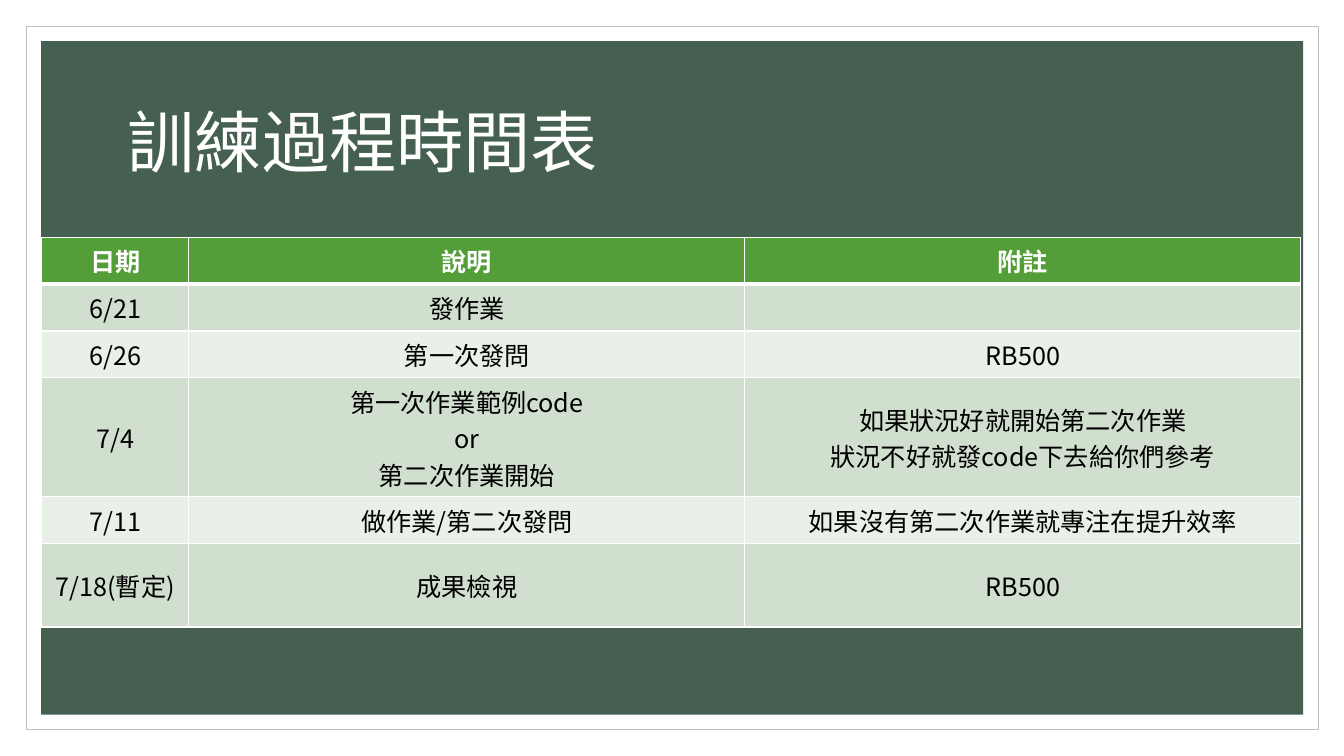
from lxml.etree import SubElement
from pptx import Presentation
from pptx.dml.color import RGBColor
from pptx.enum.shapes import MSO_SHAPE as Shape
from pptx.enum.text import MSO_ANCHOR as Anchor, PP_ALIGN as Align
from pptx.oxml.ns import qn
from pptx.util import Cm, Pt

FONT = "Noto Sans CJK SC"


def paint(color_format, hex_color):
    color_format.rgb = RGBColor.from_string(hex_color)


def add_run(paragraph, text, size, color, bold=False):
    run = paragraph.add_run()
    run.text = text
    run.font.size, run.font.bold, run.font.name = Pt(size), bold, FONT
    paint(run.font.color, color)
    SubElement(run.font._element, qn("a:ea"), typeface=FONT)


deck = Presentation()
deck.slide_width, deck.slide_height = Cm(33.87), Cm(19.05)
slide = deck.slides.add_slide(deck.slide_layouts[6])

# Outer frame and green panel
for margin, width, height, fill, outline in [
    (0.66, 32.56, 17.73, "FFFFFF", "BFBFBF"),
    (1.04, 31.8, 16.97, "455F51", None),
]:
    panel = slide.shapes.add_shape(
        Shape.RECTANGLE, Cm(margin), Cm(margin), Cm(width), Cm(height))
    panel.shadow.inherit = False
    panel.fill.solid()
    paint(panel.fill.fore_color, fill)
    if outline:
        paint(panel.line.color, outline)
        panel.line.width = Pt(0.5)
    else:
        panel.line.fill.background()

# Title
title = slide.shapes.add_textbox(Cm(2.97), Cm(1.78), Cm(27.94), Cm(3.81)).text_frame
title.word_wrap = True
title.vertical_anchor = Anchor.MIDDLE
title.paragraphs[0].line_spacing = 0.9
add_run(title.paragraphs[0], "訓練過程時間表", 48, "FFFFFF")

# Schedule table: row height, then date, description and note
schedule = [
    (1.18, "日期", "說明", "附註"),
    (1.18, "6/21", "發作業", ""),
    (1.18, "6/26", "第一次發問", "RB500"),
    (3.0, "7/4", "第一次作業範例code\nor\n第二次作業開始",
     "如果狀況好就開始第二次作業\n狀況不好就發code下去給你們參考"),
    (1.18, "7/11", "做作業/第二次發問", "如果沒有第二次作業就專注在提升效率"),
    (2.1, "7/18(暫定)", "成果檢視", "RB500"),
]
column_widths = [3.71, 14.01, 14.01]
table_height = sum(row_height for row_height, *_ in schedule)
table = slide.shapes.add_table(
    len(schedule), len(column_widths), Cm(1.05), Cm(5.98),
    Cm(sum(column_widths)), Cm(table_height)).table
for column, width in zip(table.columns, column_widths):
    column.width = Cm(width)

for row_index, (row_height, *entries) in enumerate(schedule):
    table.rows[row_index].height = Cm(row_height)
    is_header = row_index == 0
    band = "549E39" if is_header else ("E9F0E8", "D1DFCE")[row_index % 2]
    text_color = "FFFFFF" if is_header else "000000"
    for column_index, entry in enumerate(entries):
        cell = table.cell(row_index, column_index)
        cell.vertical_anchor = Anchor.MIDDLE

        # White borders, thick between the header and the body
        cell_properties = cell._tc.get_or_add_tcPr()
        for side in ("L", "R", "T", "B"):
            thick = (row_index, side) in [(0, "B"), (1, "T")]
            border = SubElement(cell_properties, qn(f"a:ln{side}"),
                                w=str(Pt(3 if thick else 1)))
            border_fill = SubElement(border, qn("a:solidFill"))
            SubElement(border_fill, qn("a:srgbClr"), val="FFFFFF")
        cell.fill.solid()
        paint(cell.fill.fore_color, band)

        # Entry text, one run for each line
        paragraph = cell.text_frame.paragraphs[0]
        paragraph.alignment = Align.CENTER
        paragraph.font.size = Pt(18)
        for line_index, line in enumerate(entry.split("\n") if entry else []):
            if line_index:
                paragraph.add_line_break()
            add_run(paragraph, line, 18, text_color, is_header)

deck.save("out.pptx")
